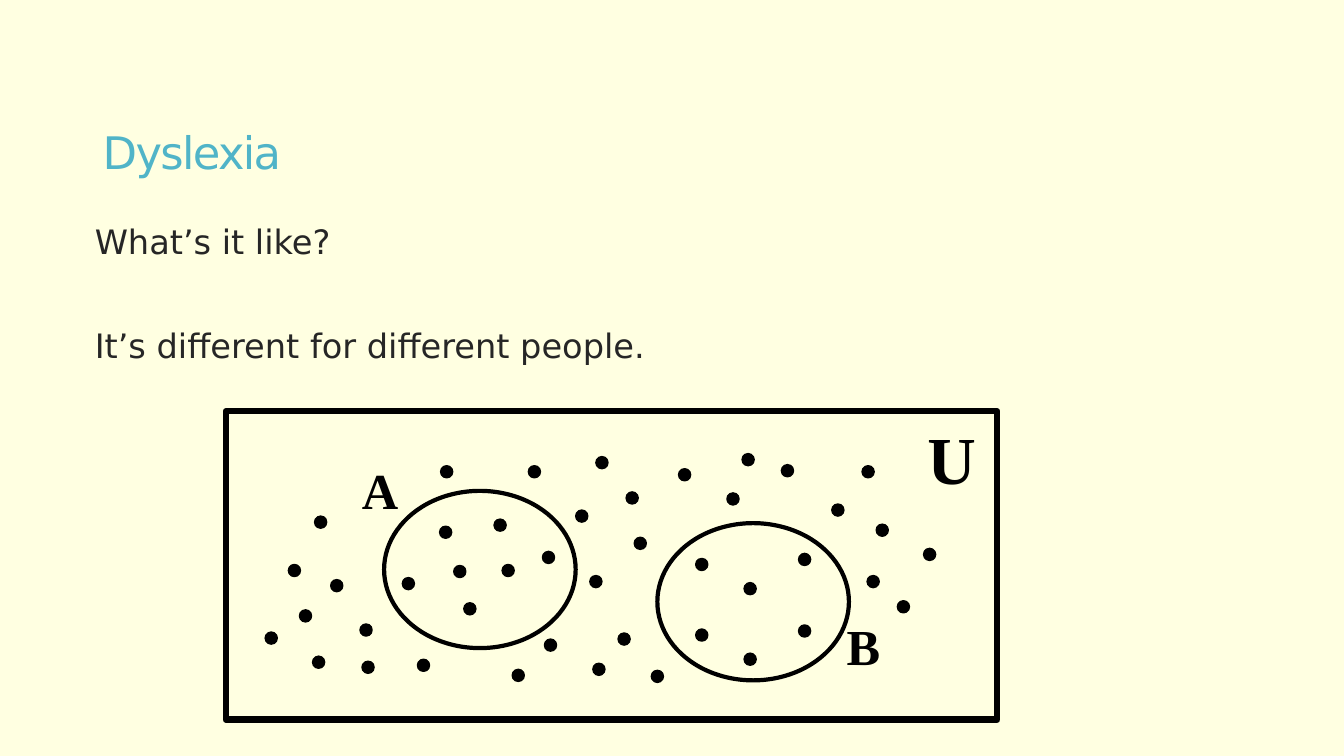
from pptx import Presentation
from pptx.dml.color import RGBColor
from pptx.enum.shapes import MSO_SHAPE
from pptx.enum.text import MSO_ANCHOR
from pptx.util import Inches, Pt

COLORS = {"background": "FFFFE1", "title": "50B4C8", "body": "262626", "ink": "000000"}
SANS, SERIF = "DejaVu Sans", "Times New Roman"
DOT_SIZE = 0.12

# Left and top of each element, in inches
DOTS_IN_A = [
    (4.36, 5.22), (4.9, 5.15), (5.38, 5.47), (3.99, 5.73),
    (4.5, 5.61), (4.98, 5.6), (4.6, 5.98),
]
DOTS_IN_B = [
    (6.9, 5.54), (7.92, 5.49), (7.38, 5.78),
    (6.9, 6.24), (7.92, 6.2), (7.38, 6.48),
]
DOTS_OUTSIDE = [
    (4.37, 4.62), (5.24, 4.62), (5.91, 4.53), (6.73, 4.65), (7.36, 4.5),
    (7.75, 4.61), (8.55, 4.62), (6.21, 4.88), (7.21, 4.89), (8.25, 5),
    (5.71, 5.06), (8.69, 5.2), (6.29, 5.33), (9.16, 5.44), (5.85, 5.71),
    (8.6, 5.71), (8.9, 5.96), (3.12, 5.12), (2.86, 5.6), (3.28, 5.75),
    (2.97, 6.05), (3.57, 6.19), (2.63, 6.27), (3.1, 6.51), (3.59, 6.56),
    (4.14, 6.54), (5.4, 6.34), (6.13, 6.28), (5.08, 6.64), (5.88, 6.58),
    (6.46, 6.65),
]


def rgb(name):
    return RGBColor.from_string(COLORS[name])


def add_text(slide, box, *lines, size, font=SANS, color="ink", bold=False,
             wrap=True, anchor=MSO_ANCHOR.TOP, inset=0.1,
             line_spacing=None, gaps=None, tracking=None):
    """Add a text box with one paragraph per line; gaps are points before each."""
    frame = slide.shapes.add_textbox(*map(Inches, box)).text_frame
    frame.word_wrap = wrap
    frame.vertical_anchor = anchor
    frame.margin_left = Inches(inset)
    for index, line in enumerate(lines):
        paragraph = frame.add_paragraph() if index else frame.paragraphs[0]
        if line_spacing:
            paragraph.line_spacing = line_spacing
        if gaps:
            paragraph.space_before = Pt(gaps[index])
        run = paragraph.add_run()
        run.text = line
        run.font.name, run.font.size, run.font.bold = font, Pt(size), bold
        run.font.color.rgb = rgb(color)
        if tracking:
            run._r.get_or_add_rPr().set("spc", str(round(tracking * 100)))


def add_outline(slide, preset, box, weight, filled=False):
    shape = slide.shapes.add_shape(preset, *map(Inches, box))
    shape.shadow.inherit = False
    if filled:
        shape.fill.solid()
        shape.fill.fore_color.rgb = rgb("ink")
    else:
        shape.fill.background()
    shape.line.color.rgb = rgb("ink")
    shape.line.width = Pt(weight)


def add_dots(slide, positions):
    for left, top in positions:
        add_outline(slide, MSO_SHAPE.OVAL, (left, top, DOT_SIZE, DOT_SIZE), 1, filled=True)


def add_set_label(slide, box, letter, size=36):
    add_text(slide, box, letter, size=size, font=SERIF, bold=True, wrap=False)


def main():
    presentation = Presentation()
    presentation.slide_width, presentation.slide_height = Inches(13.33), Inches(7.5)
    slide = presentation.slides.add_slide(presentation.slide_layouts[6])
    slide.background.fill.solid()
    slide.background.fill.fore_color.rgb = rgb("background")

    # Heading and statements
    add_text(slide, (0.92, 0.84, 11.67, 1.41), "Dyslexia", size=32, color="title",
             anchor=MSO_ANCHOR.MIDDLE, line_spacing=0.85, tracking=-1.2)
    add_text(slide, (0.74, 2.2, 11.76, 4.12), "What’s it like?",
             "It’s different for different people.", size=24, color="body",
             inset=0.2, line_spacing=0.85, gaps=(13, 50))

    # Universal set
    add_outline(slide, MSO_SHAPE.RECTANGLE, (2.24, 4.08, 7.65, 3.06), 4.5)
    add_set_label(slide, (9.1, 4.09, 0.69, 0.91), "U", size=48)
    add_dots(slide, DOTS_OUTSIDE)

    # Sets A and B
    for left, top, dots in ((3.81, 4.87, DOTS_IN_A), (6.52, 5.19, DOTS_IN_B)):
        add_outline(slide, MSO_SHAPE.OVAL, (left, top, 1.9, 1.56), 3)
        add_dots(slide, dots)
    add_set_label(slide, (3.49, 4.51, 0.57, 0.71), "A")
    add_set_label(slide, (8.3, 6.05, 0.54, 0.71), "B")

    presentation.save("out.pptx")


if __name__ == "__main__":
    main()
